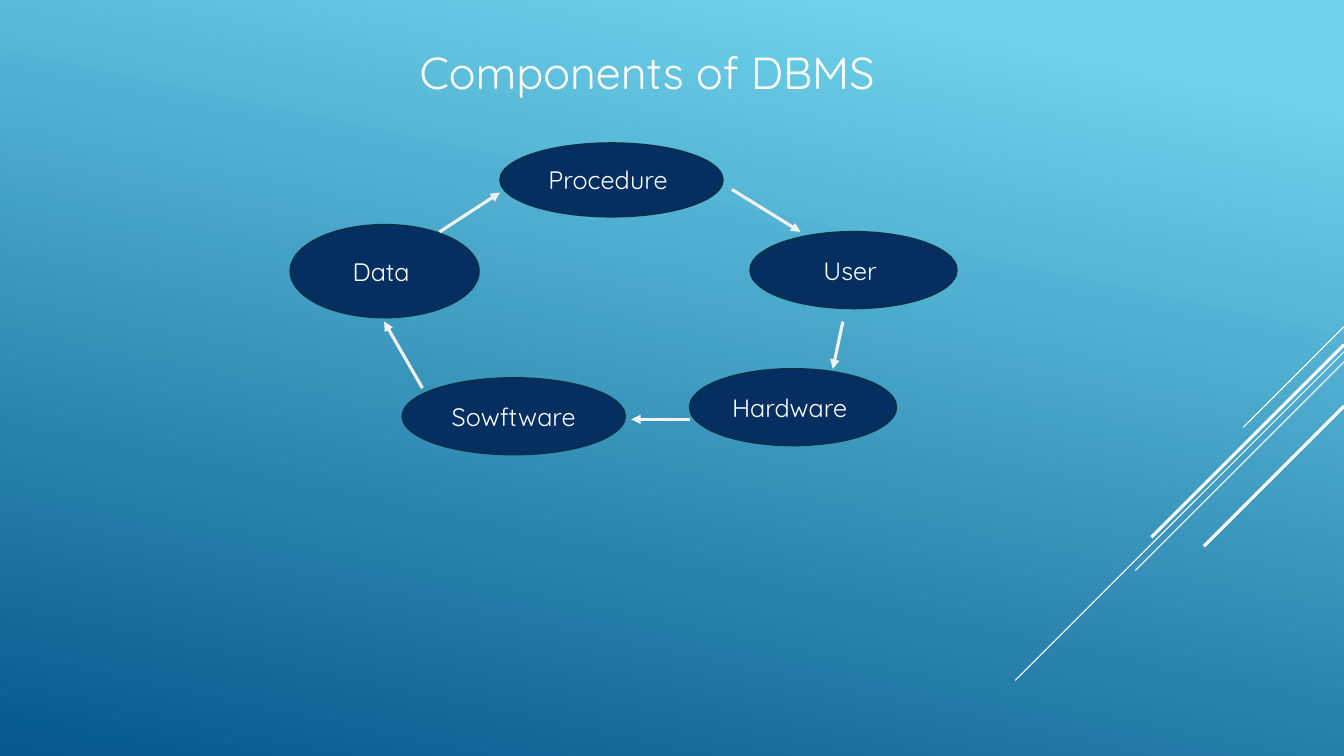
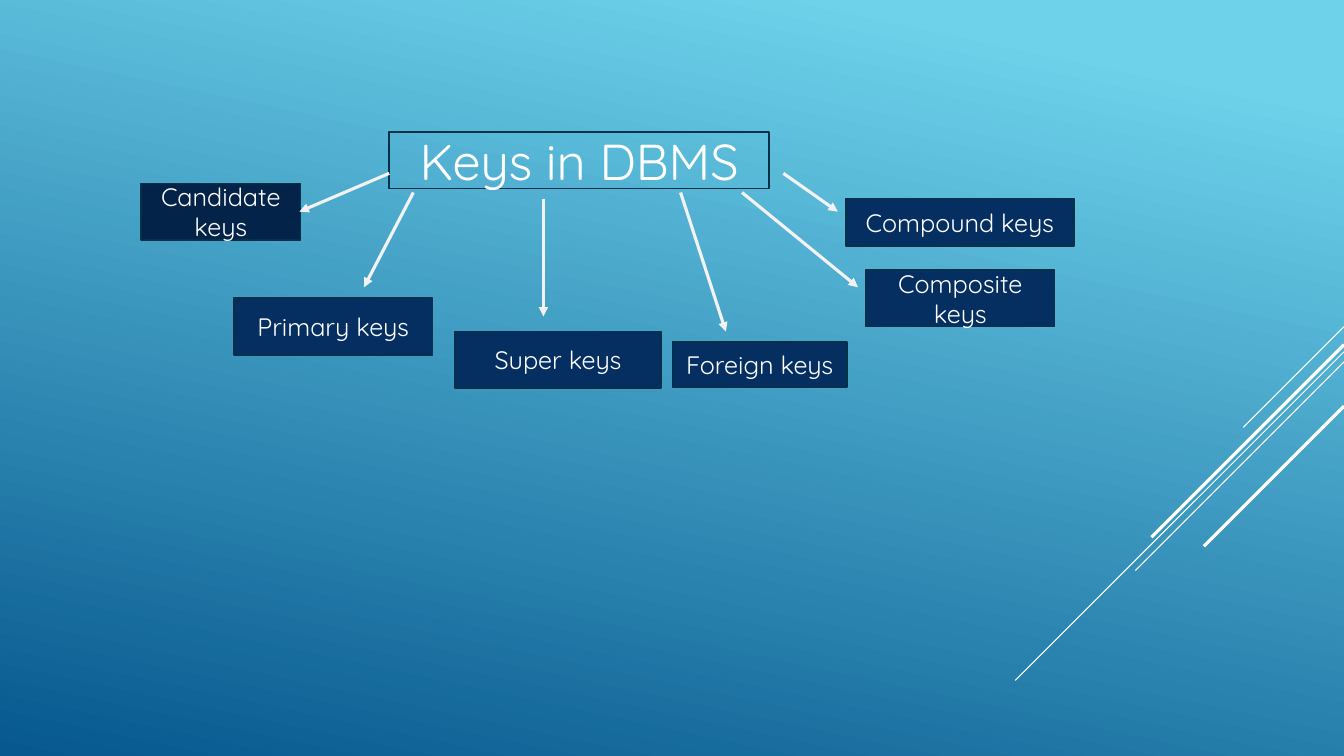
from lxml import etree
from pptx import Presentation
from pptx.dml.color import RGBColor
from pptx.enum import shapes, text
from pptx.oxml import ns
from pptx.util import Inches, Pt

SLIDE_WIDTH, SLIDE_HEIGHT = 13.33, 7.5
FONT = "Quicksand"
WHITE = RGBColor(0xFF, 0xFF, 0xFF)
ARROW = RGBColor(0xF2, 0xF2, 0xF2)
SKY = RGBColor(0x6E, 0xD2, 0xEB)
OCEAN = RGBColor(0x06, 0x58, 0x8E)
NAVY = RGBColor(0x05, 0x2F, 0x61)
DARK_NAVY = RGBColor(0x04, 0x23, 0x49)
OUTLINE = RGBColor(0x04, 0x31, 0x48)

OVAL = shapes.MSO_SHAPE.OVAL
RECTANGLE = shapes.MSO_SHAPE.RECTANGLE

# Diagonal rays from the right edge: top, run to the left, line width
RAYS = [(3.24, 1, 0.75), (3.49, 3.26, 0.75), (3.59, 2.07, 0.75),
        (3.42, 1.91, 2.25), (4.03, 1.39, 2.25)]

# Nodes: label, left, top, width, height; arrows: start x, y, end x, y.
# Both are measured from the top left corner of their diagram.
COMPONENTS = [
    ("Procedure ", 2.08, 0, 2.21, 0.73),
    ("Data ", 0, 0.81, 1.87, 0.92),
    ("Sowftware", 1.11, 2.33, 2.21, 0.76),
    ("Hardware ", 3.96, 2.24, 2.05, 0.76),
    ("User ", 4.56, 0.88, 2.05, 0.76),
]
CYCLE_ARROWS = [
    (4.38, 0.46, 5.06, 0.88),
    (5.48, 1.77, 5.38, 2.24),
    (3.96, 2.74, 3.38, 2.74),
    (1.31, 2.43, 0.93, 1.77),
    (1.48, 0.88, 2.08, 0.49),
]
KEYS = [
    ("Candidate keys", 0, 0.51, 1.58, 0.56),
    ("Primary keys", 0.92, 1.65, 1.97, 0.56),
    ("Super keys", 3.11, 1.98, 2.05, 0.56),
    ("Foreign keys", 5.27, 2.08, 1.73, 0.45),
    ("Composite keys", 7.19, 1.37, 1.87, 0.56),
    ("Compound keys", 6.99, 0.66, 2.26, 0.47),
]
KEY_ARROWS = [
    (2.46, 0.41, 1.57, 0.79),
    (2.7, 0.6, 2.21, 1.54),
    (3.99, 0.66, 3.99, 1.83),
    (5.35, 0.6, 5.8, 1.98),
    (5.96, 0.6, 7.11, 1.54),
    (6.37, 0.41, 6.91, 0.79),
]


def add_line(slide, x1, y1, x2, y2, color, width, arrow=False):
    line = slide.shapes.add_connector(
        shapes.MSO_CONNECTOR.STRAIGHT, *map(Inches, (x1, y1, x2, y2)))
    line.line.color.rgb = color
    line.line.width = Pt(width)
    if arrow:
        etree.SubElement(line.line._get_or_add_ln(), ns.qn("a:tailEnd"),
                         type="triangle")
    etree.SubElement(line._element.spPr, ns.qn("a:effectLst"))


def write_label(shape, label, size):
    frame = shape.text_frame
    frame.text = label
    frame.word_wrap = True
    frame.vertical_anchor = text.MSO_ANCHOR.MIDDLE
    paragraph = frame.paragraphs[0]
    paragraph.alignment = text.PP_ALIGN.CENTER
    font = paragraph.runs[0].font
    font.name, font.size, font.color.rgb = FONT, Pt(size), WHITE


def add_node(slide, kind, label, left, top, width, height, fill=NAVY, size=18):
    """Add an outlined, labelled shape; a fill of None leaves it clear."""
    node = slide.shapes.add_shape(
        kind, *map(Inches, (left, top, width, height)))
    node.shadow.inherit = False
    if fill is None:
        node.fill.background()
    else:
        node.fill.solid()
        node.fill.fore_color.rgb = fill
    node.line.color.rgb = OUTLINE
    node.line.width = Pt(1.25)
    write_label(node, label, size)


def add_diagram(slide, left, top, kind, nodes, arrows, fills):
    """Place nodes and arrows; fills names the labels with their own colour."""
    for label, x, y, width, height in nodes:
        add_node(slide, kind, label, left + x, top + y, width, height,
                 fills.get(label, NAVY))
    for x1, y1, x2, y2 in arrows:
        add_line(slide, left + x1, top + y1, left + x2, top + y2,
                 ARROW, 2.25, arrow=True)


def add_base_slide(presentation):
    """Add a blank slide with the shared gradient and diagonal rays."""
    slide = presentation.slides.add_slide(presentation.slide_layouts[6])
    fill = slide.background.fill
    fill.gradient()
    fill.gradient_angle = 258
    for stop, position, color in zip(fill.gradient_stops, (0.1, 1), (SKY, OCEAN)):
        stop.position = position
        stop.color.rgb = color
    for top, run, width in RAYS:
        add_line(slide, SLIDE_WIDTH, top, SLIDE_WIDTH - run, top + run,
                 WHITE, width)
    return slide


def add_components_slide(presentation):
    slide = add_base_slide(presentation)
    title = slide.shapes.add_textbox(*map(Inches, (3.95, 0.18, 4.94, 1.06)))
    write_label(title, "Components of DBMS", 32)
    add_diagram(slide, 2.88, 1.42, OVAL, COMPONENTS, CYCLE_ARROWS, {})


def add_keys_slide(presentation):
    slide = add_base_slide(presentation)
    left, top = 1.4, 1.31
    add_node(slide, RECTANGLE, "Keys in DBMS", left + 2.46, top, 3.77, 0.56,
             fill=None, size=36)
    add_diagram(slide, left, top, RECTANGLE, KEYS, KEY_ARROWS,
                {"Candidate keys": DARK_NAVY})


def main():
    presentation = Presentation()
    presentation.slide_width = Inches(SLIDE_WIDTH)
    presentation.slide_height = Inches(SLIDE_HEIGHT)
    add_components_slide(presentation)
    add_keys_slide(presentation)
    presentation.save("out.pptx")


if __name__ == "__main__":
    main()
